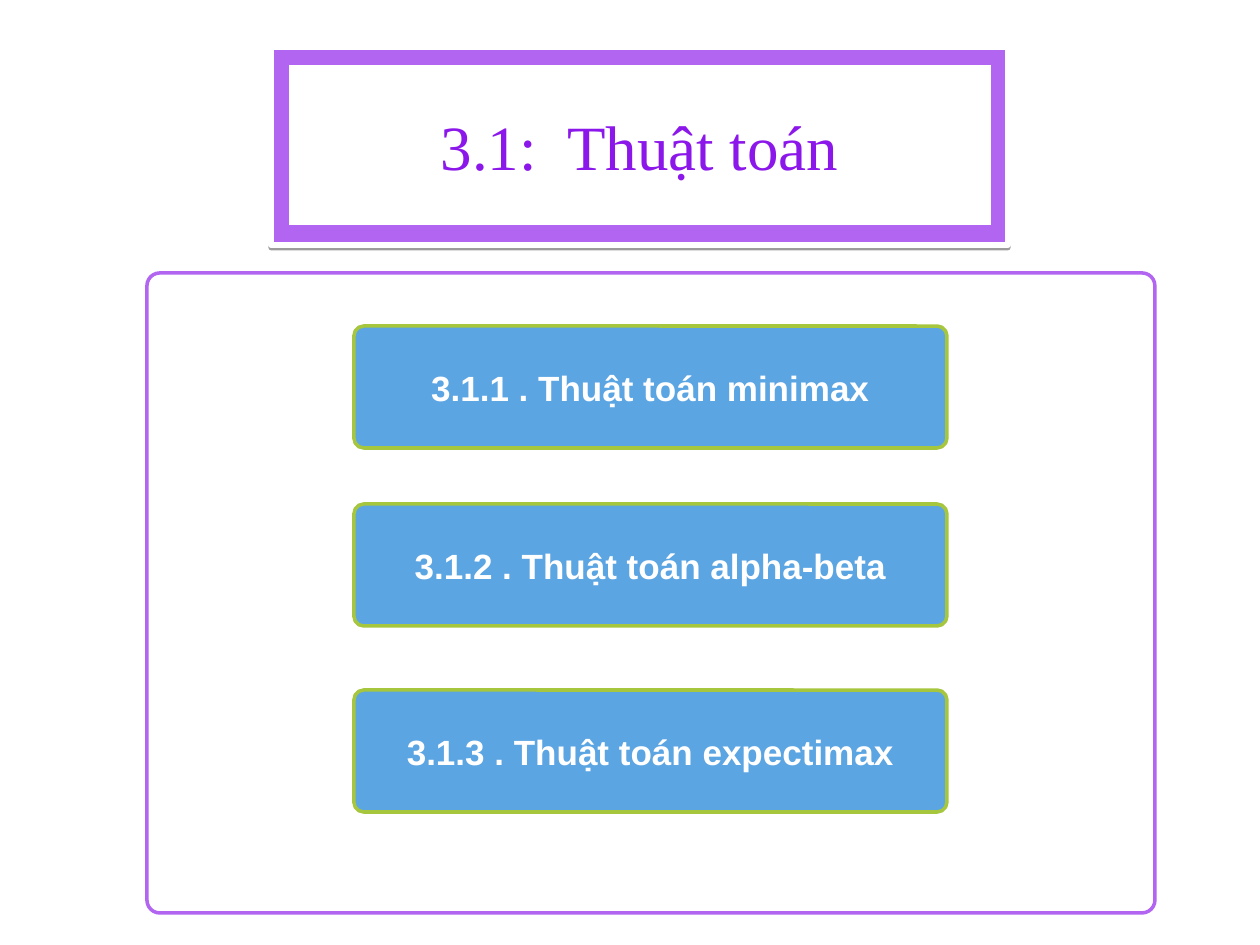
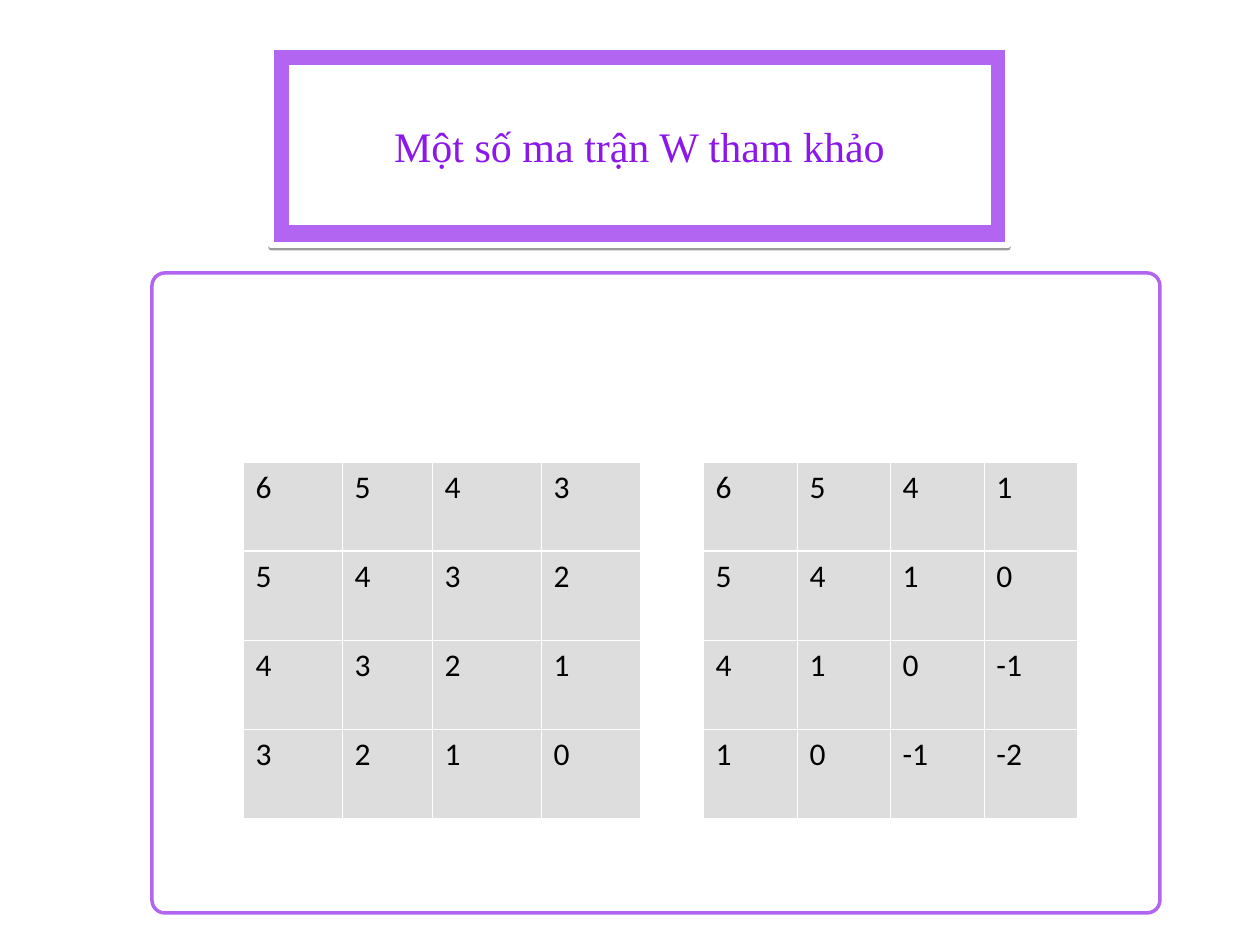
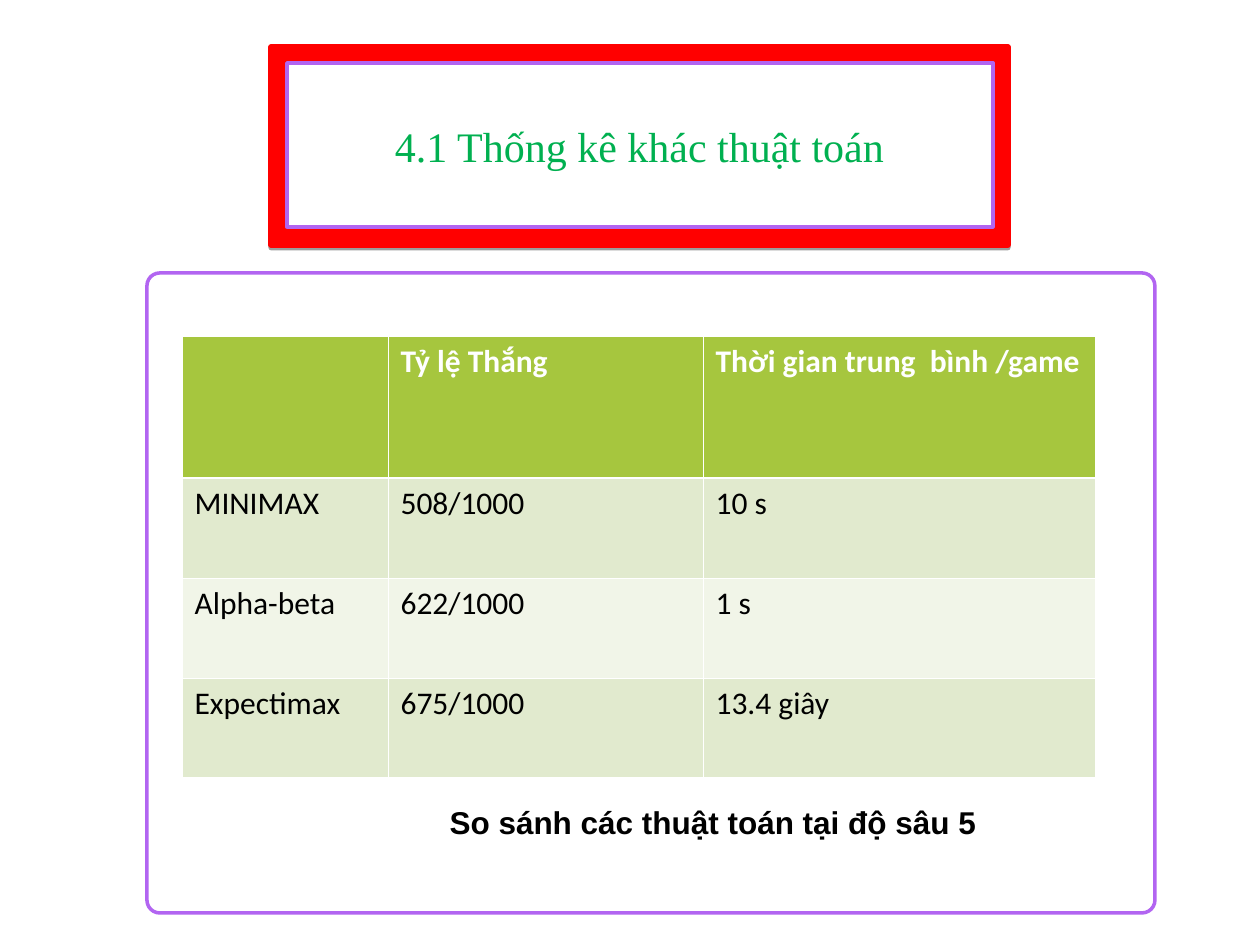
"""Build three slides on game-search algorithms: an outline, weight matrices and results."""
from lxml import etree
from pptx import Presentation
from pptx.dml.color import RGBColor
from pptx.enum.shapes import MSO_SHAPE
from pptx.enum.text import MSO_ANCHOR, PP_ALIGN
from pptx.oxml.ns import qn
from pptx.util import Pt

RECT, ROUNDED = MSO_SHAPE.RECTANGLE, MSO_SHAPE.ROUNDED_RECTANGLE
MIDDLE, LEFT, CENTER = MSO_ANCHOR.MIDDLE, PP_ALIGN.LEFT, PP_ALIGN.CENTER

COLORS = {
    "white": "FFFFFF", "black": "000000", "purple": "B265F1", "violet": "8B17EA",
    "blue": "5BA5E3", "lime": "A6C63E", "red": "FF0000", "green": "00B050",
    "gray": "DDDDDD", "band": "E1EACE", "pale": "F1F5E8",
}

ALGORITHMS = [
    (326, "3.1.1 . Thuật toán minimax"),
    (504, "3.1.2 . Thuật toán alpha-beta"),
    (690, "3.1.3 . Thuật toán expectimax"),
]
SYMMETRIC_WEIGHTS = [
    ["6", "5", "4", "3"],
    ["5", "4", "3", "2"],
    ["4", "3", "2", "1"],
    ["3", "2", "1", "0"],
]
STEEP_WEIGHTS = [
    ["6", "5", "4", "1"],
    ["5", "4", "1", "0"],
    ["4", "1", "0", "-1"],
    ["1", "0", "-1", "-2"],
]
RESULTS = [
    ["", "Tỷ lệ Thắng", "Thời gian trung  bình /game"],
    ["MINIMAX", "508/1000", "10 s"],
    ["Alpha-beta", "622/1000", "1 s"],
    ["Expectimax", "675/1000", "13.4 giây"],
]
CAPTION = "So sánh các thuật toán tại độ sâu 5"

PX_PER_INCH = 126
SLIDE = (1260, 945)
FRAME = (271, 47, 737, 198)
FRAME_INNER = (287, 63, 706, 164)
TITLE = (314, 81, 651, 129)
PANEL_TOP, PANEL_WIDTH, PANEL_HEIGHT = 273, 1008, 640
BUTTON_LEFT, BUTTON_WIDTH, BUTTON_HEIGHT = 354, 593, 122
CAPTION_BOX = (413, 799, 600, 46)

BUTTON_FONT = {"name": "Arial", "size": Pt(20), "bold": True}
CAPTION_FONT = {"name": "Arial", "size": Pt(18), "bold": True}
CELL_FONT = {"name": "Calibri", "size": Pt(18), "bold": False}
HEADER_FONT = {**CELL_FONT, "bold": True}


def emu(px):
    """Turn px into EMU."""
    return round(px * 914400 / PX_PER_INCH)


def rgb(color):
    """Look up a named colour."""
    return RGBColor.from_string(COLORS[color])


def write(frame, text, font, color, align=LEFT):
    """Put one formatted paragraph in a text frame."""
    para = frame.paragraphs[0]
    para.alignment = align
    span = para.add_run()
    span.text = text
    for name, value in font.items():
        setattr(span.font, name, value)
    span.font.color.rgb = rgb(color)


def add_box(page, kind, area, fill, line, weight=2, corner=None):
    """Add a filled and outlined preset shape."""
    box = page.shapes.add_shape(kind, *map(emu, area))
    box.shadow.inherit = False
    box.fill.solid()
    box.fill.fore_color.rgb = rgb(fill)
    box.line.color.rgb = rgb(line)
    box.line.width = Pt(weight)
    if corner is not None:
        box.adjustments[0] = corner
    return box


def add_text(page, area, text, font, color):
    """Add a centred text box."""
    box = page.shapes.add_textbox(*map(emu, area))
    box.text_frame.word_wrap = True
    box.text_frame.vertical_anchor = MIDDLE
    write(box.text_frame, text, font, color, CENTER)


def add_drop_shadow(box):
    """Cast a hard, faint shadow straight down."""
    effects = box._element.spPr.find(qn("a:effectLst"))
    shadow = etree.SubElement(effects, qn("a:outerShdw"), blurRad="0",
                              dist=str(Pt(1.6)), dir="5400000", rotWithShape="0")
    tint = etree.SubElement(shadow, qn("a:srgbClr"), val=COLORS["black"])
    etree.SubElement(tint, qn("a:alpha"), val="38000")


def add_page(deck, title, size, color="violet", frame="purple", edge="white", panel_left=147):
    """Add a slide with the shared panel and framed title."""
    page = deck.slides.add_slide(deck.slide_layouts[6])
    panel = (panel_left, PANEL_TOP, PANEL_WIDTH, PANEL_HEIGHT)
    add_box(page, ROUNDED, panel, "white", "purple", corner=0.02)
    add_drop_shadow(add_box(page, RECT, FRAME, frame, edge, weight=3))
    add_box(page, RECT, FRAME_INNER, "white", "purple")
    add_text(page, TITLE, title, {"name": "Times New Roman", "size": Pt(size)}, color)
    return page


def set_borders(cell, weights):
    """Draw white borders of the given point widths on a cell."""
    props = cell._tc.get_or_add_tcPr()
    for side, weight in weights.items():
        border = etree.SubElement(props, qn(f"a:ln{side}"), w=str(Pt(weight)))
        fill = etree.SubElement(border, qn("a:solidFill"))
        etree.SubElement(fill, qn("a:srgbClr"), val=COLORS["white"])


def add_grid(page, left, top, widths, heights, rows, fills, header=False):
    """Add a table with one fill per row and a thicker rule under the first row."""
    area = (left, top, sum(widths), sum(heights))
    table = page.shapes.add_table(len(rows), len(widths), *map(emu, area)).table
    table.first_row = header
    table.horz_banding = False
    for column, width in zip(table.columns, widths):
        column.width = emu(width)
    for index, (row, height, texts) in enumerate(zip(table.rows, heights, rows)):
        row.height = emu(height)
        is_header = header and index == 0
        font, color = (HEADER_FONT, "white") if is_header else (CELL_FONT, "black")
        above, below = (1.5 if index == edge else 0.45 for edge in (1, 0))
        for cell, text in zip(row.cells, texts):
            set_borders(cell, {"L": 0.45, "R": 0.45, "T": above, "B": below})
            cell.fill.solid()
            cell.fill.fore_color.rgb = rgb(fills[index])
            write(cell.text_frame, text, font, color)


def add_outline(deck):
    """Add the list of algorithms."""
    page = add_page(deck, "3.1:  Thuật toán", 36)
    for top, text in ALGORITHMS:
        area = (BUTTON_LEFT, top, BUTTON_WIDTH, BUTTON_HEIGHT)
        button = add_box(page, ROUNDED, area, "blue", "lime", corner=0.08)
        button.text_frame.word_wrap = True
        button.text_frame.vertical_anchor = MIDDLE
        write(button.text_frame, text, BUTTON_FONT, "white", CENTER)


def add_matrices(deck):
    """Add the two weight matrices."""
    page = add_page(deck, "Một số ma trận W tham khảo", 24, panel_left=152)
    heights, fills = [89] * 4, ["gray"] * 4
    add_grid(page, 703, 462, [94, 93, 94, 93], heights, STEEP_WEIGHTS, fills)
    add_grid(page, 243, 462, [99, 90, 109, 99], heights, SYMMETRIC_WEIGHTS, fills)


def add_results(deck):
    """Add the comparison of win rates and times."""
    page = add_page(deck, "4.1 Thống kê khác thuật toán", 24, "green", "red", "red")
    add_text(page, CAPTION_BOX, CAPTION, CAPTION_FONT, "black")
    add_grid(page, 182, 336, [206, 315, 392], [142, 100, 100, 100], RESULTS,
             ["lime", "band", "pale", "band"], header=True)


def main():
    """Build and save the deck."""
    deck = Presentation()
    deck.slide_width, deck.slide_height = map(emu, SLIDE)
    add_outline(deck)
    add_matrices(deck)
    add_results(deck)
    deck.save("out.pptx")


if __name__ == "__main__":
    main()
